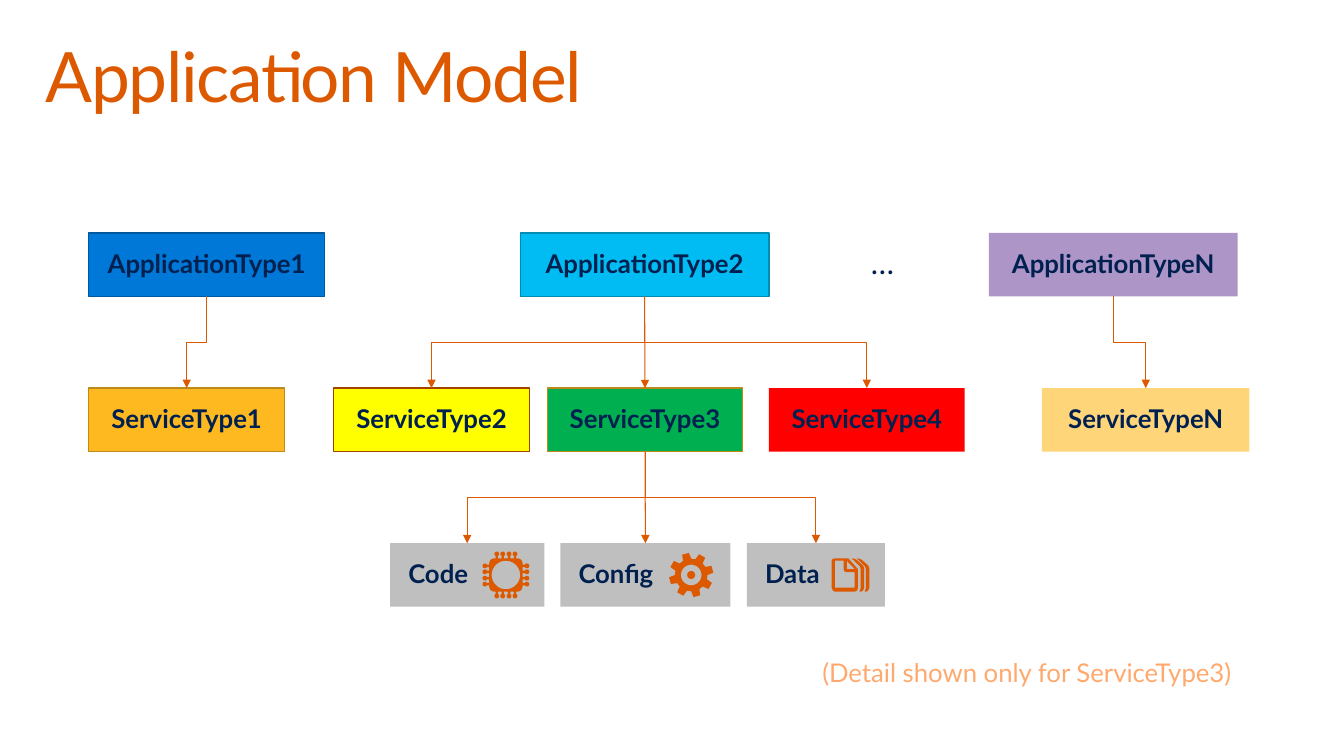
from dataclasses import dataclass
from itertools import product
from math import cos, radians, sin
from typing import Optional

from lxml.etree import SubElement
from pptx import Presentation
from pptx.dml.color import RGBColor
from pptx.enum.shapes import MSO_CONNECTOR as Route, MSO_SHAPE as Preset
from pptx.enum.text import MSO_ANCHOR as Anchor, MSO_AUTO_SIZE as AutoSize, PP_ALIGN as Align
from pptx.oxml.ns import qn
from pptx.util import Cm, Pt

Contour = list[tuple[float, float]]


@dataclass(frozen=True)
class Theme:
    """Colours, font and type sizes of the slide."""
    font: str = "Lato"
    accent: str = "DD5900"
    ink: str = "002050"
    note: str = "FFA96E"
    detail: str = "BFBFBF"
    title_size: float = 49.6
    label_size: float = 18.4
    dots_size: float = 22.1
    outline: float = 0.85
    arrow: float = 0.75


@dataclass(frozen=True)
class Node:
    """A labelled box of the tree; left and width in centimetres."""
    label: str
    row: int
    left: float
    width: float
    fill: str
    line: Optional[str] = None
    opacity: int = 100
    align: Align = Align.CENTER


THEME = Theme()
ROW_TOP, ROW_PITCH, BOX_HEIGHT = 5.87, 3.91, 1.6
INSETS = (0.46, 0.38)

NODES = [
    Node("ApplicationType1", 0, 2.24, 5.94, "0078D7", "00599F"),
    Node("ApplicationType2", 0, 13.11, 6.27, "00BCF2", "008BB3"),
    Node("ApplicationTypeN", 0, 24.92, 6.27, "5C2D91", opacity=50),
    Node("ServiceType1", 1, 2.24, 4.93, "FFB920", "BD8918"),
    Node("ServiceType2", 1, 8.41, 4.93, "FFFF00", "A34200"),
    Node("ServiceType3", 1, 13.79, 4.93, "00B050", "BD8918"),
    Node("ServiceType4", 1, 19.38, 4.93, "FF0000"),
    Node("ServiceTypeN", 1, 26.26, 5.23, "FFD579"),
    Node("Code", 2, 9.83, 3.89, THEME.detail, align=Align.LEFT),
    Node("Config", 2, 14.12, 4.29, THEME.detail, align=Align.LEFT),
    Node("Data", 2, 18.82, 3.48, THEME.detail, align=Align.LEFT),
]
CHILDREN = {
    "ApplicationType1": ["ServiceType1"],
    "ApplicationType2": ["ServiceType2", "ServiceType3", "ServiceType4"],
    "ApplicationTypeN": ["ServiceTypeN"],
    "ServiceType3": ["Code", "Config", "Data"],
}


def write(frame, text: str, *, size: float, color: str, bold: bool = False,
          align: Align = Align.LEFT, anchor: Anchor = Anchor.TOP,
          insets: tuple[float, float] = INSETS, after: float = 0, tracking: float = 0) -> None:
    """Put one formatted paragraph into a text frame."""
    frame.word_wrap, frame.auto_size = True, AutoSize.NONE
    frame.vertical_anchor = anchor
    frame.margin_left = frame.margin_right = Cm(insets[0])
    frame.margin_top = frame.margin_bottom = Cm(insets[1])
    para = frame.paragraphs[0]
    para.alignment, para.line_spacing = align, 0.9
    para.space_before, para.space_after = Pt(0), Pt(after)
    span = para.add_run()
    span.text = text
    span.font.name, span.font.size, span.font.bold = THEME.font, Pt(size), bold
    span.font.color.rgb = RGBColor.from_string(color)
    if tracking:
        span.font._element.set("spc", str(round(tracking * 100)))


def paint(shape, fill: str, line: Optional[str] = None, opacity: int = 100) -> None:
    """Give a shape a flat fill and an optional outline."""
    shape.shadow.inherit = False
    shape.fill.solid()
    shape.fill.fore_color.rgb = RGBColor.from_string(fill)
    if opacity < 100:
        color = shape._element.spPr.find(qn("a:solidFill"))[0]
        SubElement(color, qn("a:alpha")).set("val", str(opacity * 1000))
    if line:
        shape.line.color.rgb = RGBColor.from_string(line)
        shape.line.width = Pt(THEME.outline)
    else:
        shape.line.fill.background()


def draw_node(page, node: Node):
    """Draw a box of the tree and return it."""
    top = ROW_TOP + node.row * ROW_PITCH
    box = page.shapes.add_shape(Preset.RECTANGLE, Cm(node.left), Cm(top),
                                Cm(node.width), Cm(BOX_HEIGHT))
    paint(box, node.fill, node.line, node.opacity)
    write(box.text_frame, node.label, size=THEME.label_size, color=THEME.ink,
          bold=True, align=node.align, anchor=Anchor.MIDDLE)
    return box


def link(page, parent, child) -> None:
    """Draw an arrow from the bottom of parent to the top of child."""
    start_x, end_x = (box.left + box.width // 2 for box in (parent, child))
    start_y, end_y = parent.top + parent.height, child.top
    straight = abs(end_x - start_x) < Cm(0.1)
    arrow = page.shapes.add_connector(Route.STRAIGHT if straight else Route.ELBOW,
                                      start_x, start_y, end_x, end_y)
    arrow.begin_connect(parent, 2)
    arrow.end_connect(child, 0)
    props = arrow._element.spPr
    if not straight:  # turn the elbow so that it leaves downwards
        drop, run = end_y - start_y, abs(end_x - start_x)
        arrow.left, arrow.top = (start_x + end_x - drop) // 2, (start_y + end_y - run) // 2
        arrow.width, arrow.height = drop, run
        rightward = end_x > start_x
        frame = props.find(qn("a:xfrm"))
        frame.set("rot", str((270 if rightward else 90) * 60000))
        frame.set("flipH", str(int(rightward)))
    arrow.line.color.rgb = RGBColor.from_string(THEME.accent)
    arrow.line.width = Pt(THEME.arrow)
    SubElement(props.find(qn("a:ln")), qn("a:tailEnd")).set("type", "triangle")
    SubElement(props, qn("a:effectLst"))


def arc(radius: float, start: float = 0, end: float = 360, steps: int = 36,
        x: float = 0, y: float = 0) -> Contour:
    """Return points along an arc around x, y; angles in degrees."""
    angles = [radians(start + (end - start) * step / steps) for step in range(steps + 1)]
    return [(x + radius * cos(angle), y + radius * sin(angle)) for angle in angles]


def shift(points: Contour, dx: float, dy: float = 0) -> Contour:
    """Return the points moved by dx, dy."""
    return [(x + dx, y + dy) for x, y in points]


def turn(points: Contour, degrees: float) -> Contour:
    """Return the points turned around the origin."""
    c, s = cos(radians(degrees)), sin(radians(degrees))
    return [(x * c - y * s, x * s + y * c) for x, y in points]


def chip_icon() -> list[Contour]:
    """Return a chip: rounded body, round hole and four pins a side."""
    half, corner = 0.42, 0.13
    body = [point for side in range(4) for point in
            turn(arc(corner, 0, 90, 6, half - corner, half - corner), side * 90)]
    pin = [(half, -0.03), *arc(0.06, -150, 150, 12, half + 0.11), (half, 0.03)]
    pins = [turn(shift(pin, 0, offset), side)
            for side, offset in product((0, 90, 180, 270), (-0.23, -0.08, 0.08, 0.23))]
    return [body, arc(0.36), *pins]


def gear_icon() -> list[Contour]:
    """Return a gear with eight teeth, a ring and a hub."""
    tooth = [point for radius, angle in ((0.41, -15), (0.56, -9), (0.56, 9), (0.41, 15))
             for point in turn([(radius, 0)], angle - 15)]
    rim = [point for step in range(8) for point in turn(tooth, step * 45)]
    return [rim, arc(0.26), arc(0.1)]


def pages_icon() -> list[Contour]:
    """Return a sheet with a folded corner and two sheets behind it."""
    sheet = [(0.66, 0.27), (0.42, 0), (0.08, 0), (0.02, 0.02), (0, 0.06), (0, 0.74),
             (0.03, 0.81), (0.08, 0.84), (0.58, 0.84), (0.64, 0.81), (0.66, 0.74)]
    fold = [(0.38, 0.06), (0.58, 0.27), (0.38, 0.27)]
    inside = [(0.58, 0.74), (0.08, 0.74), (0.08, 0.06), (0.3, 0.06), (0.3, 0.27),
              (0.32, 0.33), (0.38, 0.35), (0.58, 0.35)]
    behind = [(0.5, 0), (0.57, 0.01), (0.63, 0.04), (0.79, 0.18), (0.82, 0.25), (0.82, 0.74),
              (0.79, 0.81), (0.74, 0.84), (0.7, 0.84), (0.73, 0.76), (0.73, 0.27), (0.71, 0.2)]
    contours = [sheet, fold, inside, behind, shift(behind, 0.13)]
    return [shift(contour, -0.47, -0.42) for contour in contours]


def draw_icon(page, contours: list[Contour], x: float, y: float) -> None:
    """Draw the contours as one filled outline centred on x, y."""
    placed = [[(Cm(px), Cm(py)) for px, py in shift(contour, x, y)] for contour in contours]
    builder = page.shapes.build_freeform(*placed[0][0], scale=1.0)
    for index, points in enumerate(placed):
        if index:
            builder.move_to(*points[0])
        builder.add_line_segments(points[1:], close=True)
    paint(builder.convert_to_shape(), THEME.accent)


def main() -> None:
    """Build the slide and save it."""
    deck = Presentation()
    deck.slide_width, deck.slide_height = Cm(33.87), Cm(19.05)
    page = deck.slides.add_slide(deck.slide_layouts[5])
    title = page.shapes.title
    title.left, title.top, title.width, title.height = Cm(0.74), Cm(0.81), Cm(32.39), Cm(2.49)
    write(title.text_frame, "Application Model", size=THEME.title_size, color=THEME.accent,
          insets=(0.41, 0.25), tracking=-0.9)

    boxes = {node.label: draw_node(page, node) for node in NODES}
    for parent, children in CHILDREN.items():
        for child in children:
            link(page, boxes[parent], boxes[child])

    icons = ((chip_icon(), 12.75), (gear_icon(), 17.42), (pages_icon(), 21.43))
    for contours, x in icons:
        draw_icon(page, contours, x, ROW_TOP + 2 * ROW_PITCH + BOX_HEIGHT / 2)

    dots = page.shapes.add_textbox(Cm(21.49), Cm(ROW_TOP), Cm(3.07), Cm(1.24))
    write(dots.text_frame, "…", size=THEME.dots_size, color=THEME.ink, after=5.5)
    note = page.shapes.add_textbox(Cm(15.01), Cm(16.26), Cm(16.48), Cm(1.17))
    write(note.text_frame, "(Detail shown only for ServiceType3)", size=THEME.label_size,
          color=THEME.note, align=Align.RIGHT, after=5.5)
    deck.save("out.pptx")


main()
